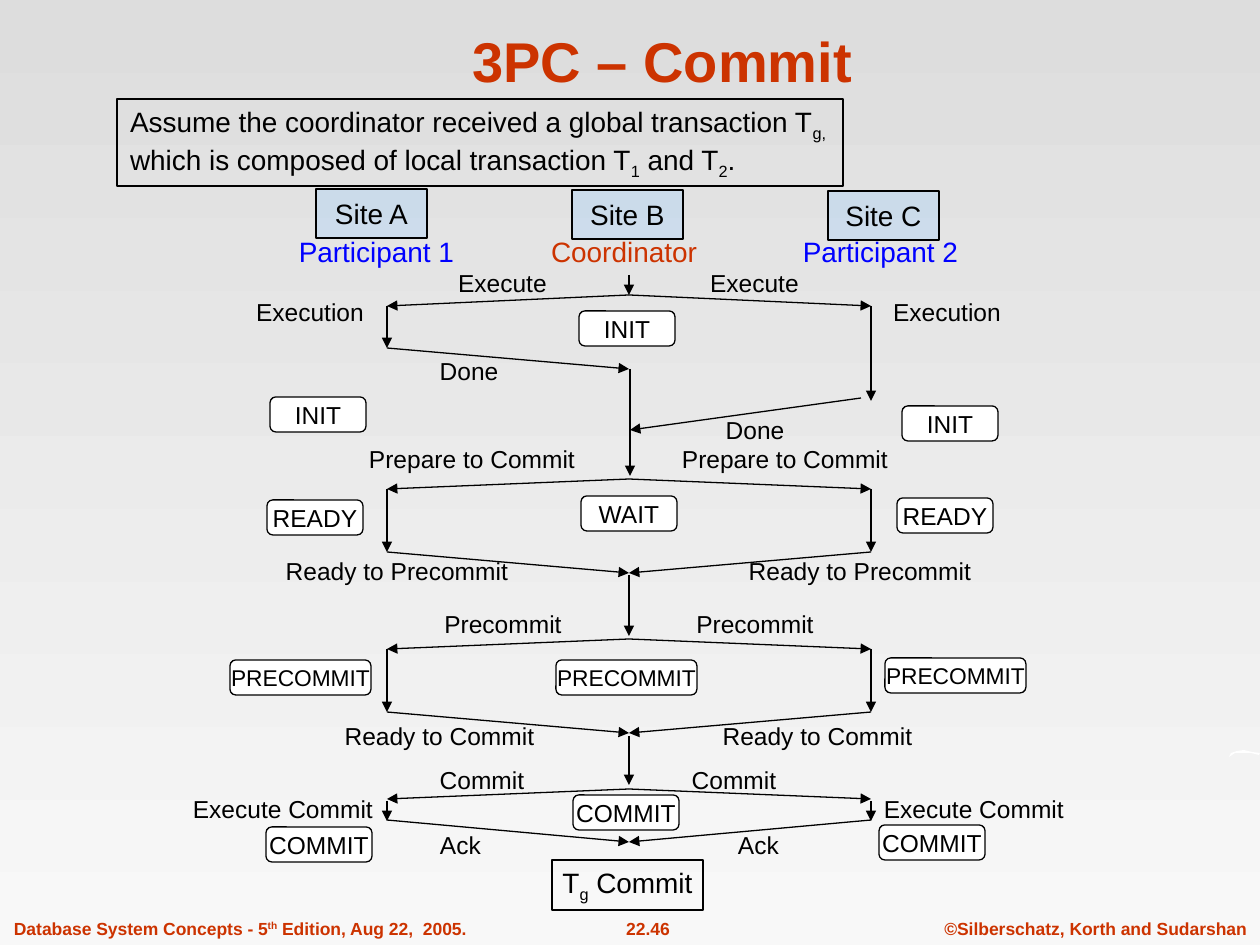
import dataclasses
import typing

import lxml.etree
import pptx
import pptx.dml.color
import pptx.enum.dml
import pptx.enum.shapes
import pptx.enum.text
import pptx.oxml.ns
import pptx.util

RGB = pptx.dml.color.RGBColor
ALIGN = pptx.enum.text.PP_ALIGN
ANCHOR = pptx.enum.text.MSO_ANCHOR
SHAPE = pptx.enum.shapes.MSO_SHAPE
QN = pptx.oxml.ns.qn

BLACK = RGB(0x00, 0x00, 0x00)
WHITE = RGB(0xFF, 0xFF, 0xFF)
RED = RGB(0xCC, 0x33, 0x00)
BLUE = RGB(0x00, 0x00, 0xFF)
SKY = RGB(0x99, 0xCC, 0xFF)
BG_TOP = RGB(0xDD, 0xDD, 0xDD)
BG_BOTTOM = RGB(0xF8, 0xF8, 0xF8)

LEFT, MID, RIGHT = 387, 629, 871
SUPER, SUB = 30, -25
SLACK = 12

Run = tuple[str, int]
Lines = list[list[Run]]


def px(n: int) -> int:
    return round(n * 914400 / 126)


@dataclasses.dataclass
class Style:
    size: int = 14
    color: RGB = BLACK
    bold: bool = False
    align: ALIGN = ALIGN.CENTER
    inset: int = 0
    anchor: ANCHOR = ANCHOR.MIDDLE


@dataclasses.dataclass
class Label:
    text: str
    width: int
    cy: int
    lefts: tuple[int, ...]
    style: Style = dataclasses.field(default_factory=Style)


@dataclasses.dataclass
class State:
    text: str
    width: int
    spots: tuple[tuple[int, int], ...]
    size: int = 14


@dataclasses.dataclass
class Round:
    apex: int
    fan: int
    down: tuple[int, int]
    back: tuple[int, int]


HEADING = Style(size=16, color=BLUE)
FOOTER = Style(size=10, color=RED, bold=True)

LABELS = [
    Label("Participant 1", 155, 251, (299,), HEADING),
    Label("Coordinator", 146, 251, (551,), Style(size=16, color=RED)),
    Label("Participant 2", 155, 251, (803,), HEADING),
    Label("Execute", 89, 283, (458, 710)),
    Label("Execution", 108, 312, (256, 893)),
    Label("Done", 58, 371, (440,)),
    Label("Done", 58, 430, (726,)),
    Label("Prepare to Commit", 206, 459, (369, 682)),
    Label("Ready to Precommit", 222, 571, (286, 749)),
    Label("Precommit", 118, 624, (444, 696)),
    Label("Ready to Commit", 189, 736, (345, 723)),
    Label("Commit", 84, 780, (440, 692)),
    Label("Execute Commit", 180, 809, (193, 884)),
    Label("Ack", 41, 845, (440, 738)),
    Label("22.46", 44, 928, (626,), FOOTER),
    Label("©Silberschatz, Korth and Sudarshan", 303, 928, (944,), FOOTER),
]

STATES = [
    State("INIT", 96, ((579, 311), (270, 397), (902, 406))),
    State("WAIT", 96, ((581, 496),)),
    State("READY", 96, ((267, 500), (897, 498))),
    State("PRECOMMIT", 141, ((556, 660), (230, 660), (885, 658)), 13),
    State("COMMIT", 106, ((266, 827), (573, 795), (879, 825))),
]

ROUNDS = [
    Round(479, 489, (489, 552), (552, 573)),
    Round(639, 649, (649, 712), (712, 733)),
    Round(789, 799, (801, 821), (820, 842)),
]

ARROWS = [
    (MID, 275, MID, 295),
    (MID, 295, LEFT, 306),
    (MID, 295, RIGHT, 306),
    (LEFT, 306, LEFT, 348),
    (LEFT, 348, MID, 369),
    (RIGHT, 306, RIGHT, 401),
    (861, 398, 630, 430),
    (630, 369, 630, 476),
    (MID, 575, MID, 636),
    (MID, 736, MID, 785),
]

ORNAMENT = [
    (1229, 757), (1231, 753), (1237, 751), (1244, 750), (1252, 752),
    (1260, 753), (1259, 755), (1251, 753), (1245, 753), (1235, 753),
]


def write(sp: typing.Any, lines: Lines, style: Style) -> None:
    tf = sp.text_frame
    frame = {
        "word_wrap": False,
        "vertical_anchor": style.anchor,
        "margin_left": px(style.inset),
        "margin_right": px(style.inset),
        "margin_top": 0,
        "margin_bottom": 0,
    }
    for name, value in frame.items():
        setattr(tf, name, value)
    font = {"name": "Arial", "size": pptx.util.Pt(style.size), "bold": style.bold}
    for i, runs in enumerate(lines):
        p = tf.add_paragraph() if i else tf.paragraphs[0]
        p.alignment = style.align
        for text, baseline in runs:
            r = p.add_run()
            r.text = text
            for name, value in font.items():
                setattr(r.font, name, value)
            r.font.color.rgb = style.color
            if baseline:
                r._r.get_or_add_rPr().set("baseline", str(baseline * 1000))


def add_text(s: typing.Any, x: int, y: int, w: int, h: int, lines: Lines, style: Style) -> None:
    write(s.shapes.add_textbox(px(x), px(y), px(w), px(h)), lines, style)


def add_label(s: typing.Any, label: Label) -> None:
    h = label.style.size * 2
    for x in label.lefts:
        add_text(s, x - SLACK, label.cy - h // 2, label.width + 2 * SLACK, h,
                 [[(label.text, 0)]], label.style)


def add_box(s: typing.Any, kind: SHAPE, x: int, y: int, w: int, h: int,
            lines: Lines, style: Style, fill: RGB | None = None) -> typing.Any:
    sp = s.shapes.add_shape(kind, px(x), px(y), px(w), px(h))
    sp.shadow.inherit = False
    if fill is None:
        sp.fill.background()
    else:
        sp.fill.solid()
        sp.fill.fore_color.rgb = fill
    sp.line.color.rgb = BLACK
    sp.line.width = pptx.util.Pt(0.75)
    write(sp, lines, style)
    return sp


def add_arrow(s: typing.Any, x1: int, y1: int, x2: int, y2: int) -> None:
    kind = pptx.enum.shapes.MSO_CONNECTOR.STRAIGHT
    c = s.shapes.add_connector(kind, px(x1), px(y1), px(x2), px(y2))
    c.line.color.rgb = BLACK
    c.line.width = pptx.util.Pt(0.75)
    lxml.etree.SubElement(c.line._get_or_add_ln(), QN("a:tailEnd"), type="triangle")
    lxml.etree.SubElement(c._element.spPr, QN("a:effectLst"))


def add_round(s: typing.Any, rnd: Round) -> None:
    for side in (LEFT, RIGHT):
        add_arrow(s, MID, rnd.apex, side, rnd.fan)
        add_arrow(s, side, rnd.down[0], side, rnd.down[1])
        add_arrow(s, side, rnd.back[0], MID, rnd.back[1])


def add_background(s: typing.Any) -> None:
    fill = s.background.fill
    fill.gradient()
    fill.gradient_angle = 270
    for stop, color in zip(fill.gradient_stops, (BG_TOP, BG_BOTTOM)):
        stop.color.rgb = color


def add_ornament(s: typing.Any) -> None:
    points = [(px(x), px(y)) for x, y in ORNAMENT]
    fb = s.shapes.build_freeform(*points[0])
    fb.add_line_segments(points[1:], close=True)
    sp = fb.convert_to_shape()
    sp.shadow.inherit = False
    sp.fill.solid()
    sp.fill.fore_color.rgb = WHITE
    sp.line.fill.background()


def main() -> None:
    prs = pptx.Presentation()
    prs.slide_width, prs.slide_height = px(1260), px(945)
    s = prs.slides.add_slide(prs.slide_layouts[6])
    add_background(s)
    add_ornament(s)
    add_text(s, 106, 16, 1113, 78, [[("3PC – Commit", 0)]],
             Style(size=32, color=RED, bold=True, anchor=ANCHOR.BOTTOM))
    add_text(s, 14, 918, 490, 20,
             [[("Database System Concepts - 5", 0), ("th", SUPER), (" Edition, Aug 22,  2005.", 0)]],
             dataclasses.replace(FOOTER, align=ALIGN.LEFT))
    for label in LABELS:
        add_label(s, label)
    for arrow in ARROWS:
        add_arrow(s, *arrow)
    for rnd in ROUNDS:
        add_round(s, rnd)
    add_box(s, SHAPE.RECTANGLE, 117, 99, 726, 87, [
        [("Assume the coordinator received a global transaction T", 0), ("g,", SUB)],
        [("which is composed of local transaction T", 0), ("1", SUB), (" and T", 0), ("2", SUB), (".", 0)],
    ], Style(size=16, align=ALIGN.LEFT, inset=13))
    for i, name in enumerate("ABC"):
        sp = add_box(s, SHAPE.RECTANGLE, 316 + 256 * i, 189 + i, 111, 49,
                     [[(f"Site {name}", 0)]], Style(size=16), SKY)
        color = sp._element.spPr.find(".//" + QN("a:srgbClr"))
        lxml.etree.SubElement(color, QN("a:alpha"), val="30000")
    for state in STATES:
        for x, y in state.spots:
            add_box(s, SHAPE.ROUNDED_RECTANGLE, x, y, state.width, 35,
                    [[(state.text, 0)]], Style(size=state.size), WHITE)
    add_box(s, SHAPE.RECTANGLE, 552, 860, 151, 50,
            [[("T", 0), ("g", SUB), (" Commit", 0)]], Style(size=16))
    prs.save("out.pptx")


if __name__ == "__main__":
    main()
